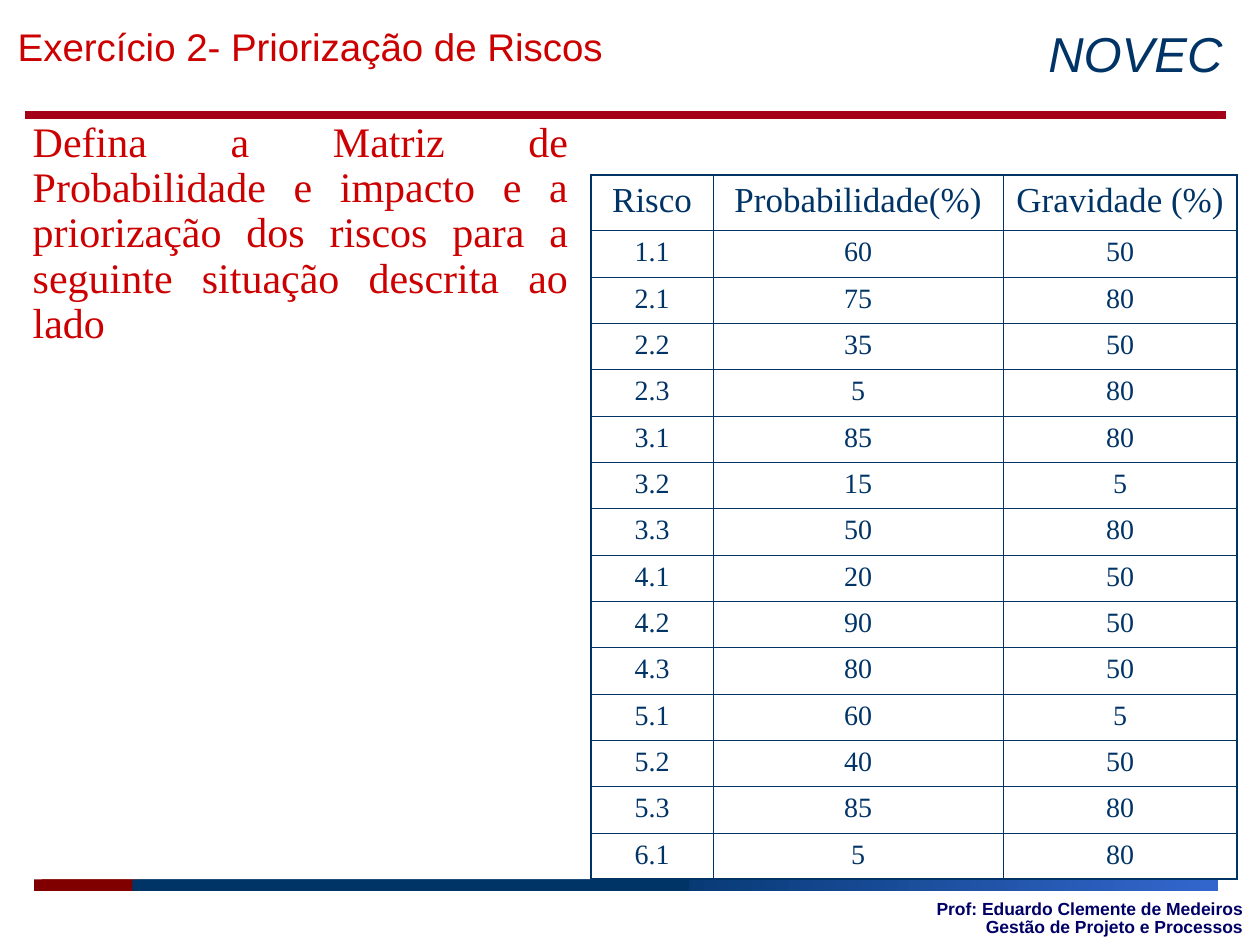
import pptx
import pptx.dml.color
import pptx.enum.shapes
import pptx.enum.text
import pptx.oxml
import pptx.oxml.ns
import pptx.util

ALIGN = pptx.enum.text.PP_ALIGN
ANCHOR = pptx.enum.text.MSO_ANCHOR


def color(value):
    return pptx.dml.color.RGBColor.from_string(value)


class RiskSlide:
    """Slide builder with lengths on a grid of 100 columns by 75 rows."""

    NAVY, RED, RULE, MAROON, BLUE, INK = "003366", "CC0000", "A40018", "800000", "3366CC", "000066"
    SANS, SERIF = "Arial", "Times New Roman"
    OUTER, INNER = 1.08, 0.45

    def __init__(self, presentation):
        self.cell_width = presentation.slide_width / 100
        self.cell_height = presentation.slide_height / 75
        self.slide = presentation.slides.add_slide(presentation.slide_layouts[1])

    def x(self, columns):
        return round(columns * self.cell_width)

    def y(self, rows):
        return round(rows * self.cell_height)

    def box(self, left, top, width, height):
        return self.x(left), self.y(top), self.x(width), self.y(height)

    def set_text(self, frame, text, font, size, fill, align=ALIGN.LEFT, before=0, after=0,
                 spacing=1.0, bold=False, italic=False):
        paragraph = frame.paragraphs[0]
        paragraph.alignment = align
        paragraph.line_spacing = spacing
        paragraph.space_before = pptx.util.Pt(before)
        paragraph.space_after = pptx.util.Pt(after)
        run = paragraph.add_run()
        run.text = text
        run.font.name, run.font.size = font, pptx.util.Pt(size)
        run.font.bold, run.font.italic = bold, italic
        run.font.color.rgb = color(fill)
        return paragraph

    def set_frame(self, shape, anchor):
        frame = shape.text_frame
        frame.word_wrap = True
        frame.auto_size = pptx.enum.text.MSO_AUTO_SIZE.NONE
        frame.vertical_anchor = anchor
        return frame

    def placeholder(self, index, area, text, *style, **options):
        shape = self.slide.placeholders[index]
        shape.left, shape.top, shape.width, shape.height = self.box(*area)
        paragraph = self.set_text(self.set_frame(shape, ANCHOR.TOP), text, *style, **options)
        properties = paragraph._p.get_or_add_pPr()
        properties.set("marL", "0")
        properties.set("indent", "0")
        properties.append(pptx.oxml.parse_xml(f"<a:buNone {pptx.oxml.ns.nsdecls('a')}/>"))

    def label(self, area, text, *style, anchor=ANCHOR.TOP, **options):
        shape = self.slide.shapes.add_textbox(*self.box(*area))
        self.set_text(self.set_frame(shape, anchor), text, *style, **options)

    def bar(self, area, start, end=None):
        shape = self.slide.shapes.add_shape(
            pptx.enum.shapes.MSO_SHAPE.RECTANGLE, *self.box(*area))
        shape.shadow.inherit = False
        shape.line.fill.background()
        if end:
            shape.fill.gradient()
            shape.fill.gradient_angle = 0
            for stop, value in zip(shape.fill.gradient_stops, (start, end)):
                stop.color.rgb = color(value)
        else:
            shape.fill.solid()
            shape.fill.fore_color.rgb = color(start)

    def footer_band(self, left, top=69.8, height=0.9):
        self.bar((left, top, 7.8, height), self.MAROON)
        self.bar((left + 44.6, top, 48.8, height), self.NAVY, self.BLUE)
        self.bar((left + 7.8, top, 44.2, height), self.NAVY)

    def rule(self, left, right, row):
        line = self.slide.shapes.add_connector(
            pptx.enum.shapes.MSO_CONNECTOR.STRAIGHT,
            self.x(left), self.y(row), self.x(right), self.y(row))
        line.line.color.rgb = color(self.RULE)
        line.line.width = pptx.util.Pt(4.5)
        line._element.spPr.append(
            pptx.oxml.parse_xml(f"<a:effectLst {pptx.oxml.ns.nsdecls('a')}/>"))

    def border(self, cell, outer_sides):
        properties = cell._tc.get_or_add_tcPr()
        for position, side in enumerate("LRTB"):
            width = pptx.util.Pt(self.OUTER if side in outer_sides else self.INNER)
            properties.insert(position, pptx.oxml.parse_xml(
                f"<a:ln{side} {pptx.oxml.ns.nsdecls('a')} w='{width}'><a:solidFill>"
                f"<a:srgbClr val='{self.NAVY}'/></a:solidFill></a:ln{side}>"))

    def table(self, area, widths, header_height, records):
        last_row, last_column = len(records) - 1, len(widths) - 1
        table = self.slide.shapes.add_table(len(records), len(widths), *self.box(*area)).table
        table.first_row = table.horz_banding = False
        body_height = (area[3] - header_height) / last_row
        for column, width in zip(table.columns, widths):
            column.width = self.x(width)
        for i, record in enumerate(records):
            table.rows[i].height = self.y(body_height if i else header_height)
            size, before = (16, 4) if i else (20, 5)
            for j, value in enumerate(record):
                cell = table.cell(i, j)
                cell.fill.background()
                self.set_text(cell.text_frame, str(value), self.SERIF, size, self.NAVY,
                              ALIGN.CENTER, before)
                edges = {"L": j == 0, "R": j == last_column, "T": i == 0, "B": i == last_row}
                self.border(cell, [side for side, outer in edges.items() if outer])


RISKS = [
    ("Risco", "Probabilidade(%)", "Gravidade (%)"),
    ("1.1", 60, 50), ("2.1", 75, 80), ("2.2", 35, 50), ("2.3", 5, 80),
    ("3.1", 85, 80), ("3.2", 15, 5), ("3.3", 50, 80),
    ("4.1", 20, 50), ("4.2", 90, 50), ("4.3", 80, 50),
    ("5.1", 60, 5), ("5.2", 40, 50), ("5.3", 85, 80), ("6.1", 5, 80),
]


def main():
    presentation = pptx.Presentation()
    presentation.slide_width = pptx.util.Inches(10)
    presentation.slide_height = pptx.util.Inches(7.5)
    page = RiskSlide(presentation)
    page.footer_band(3.3)
    page.rule(2, 97.3, 9.1)
    page.footer_band(2.7)
    page.label((79.1, 2.1, 18.9, 5), "NOVEC", page.SANS, 28, page.NAVY,
               align=ALIGN.RIGHT, before=17.5, spacing=0.85, italic=True)
    page.label((70.5, 71.4, 29.1, 3.1),
               "Prof: Eduardo Clemente de Medeiros Gestão de Projeto e Processos",
               page.SANS, 10, page.INK, anchor=ANCHOR.MIDDLE,
               align=ALIGN.RIGHT, spacing=0.85, bold=True)
    page.placeholder(1, (1.6, 9.1, 44.5, 19),
                     "Defina a Matriz de Probabilidade e impacto e a priorização dos riscos "
                     "para a seguinte situação descrita ao lado",
                     page.SERIF, 24, page.RED,
                     align=ALIGN.JUSTIFY, before=6, after=3, spacing=0.9)
    page.table((46.9, 13.9, 51.3, 55.9), (9.7, 23, 18.6), 4.4, RISKS)
    page.placeholder(0, (0.4, 1.3, 83.5, 4.7), "Exercício 2- Priorização de Riscos",
                     page.SANS, 22, page.RED, before=13.8)
    presentation.save("out.pptx")


if __name__ == "__main__":
    main()
